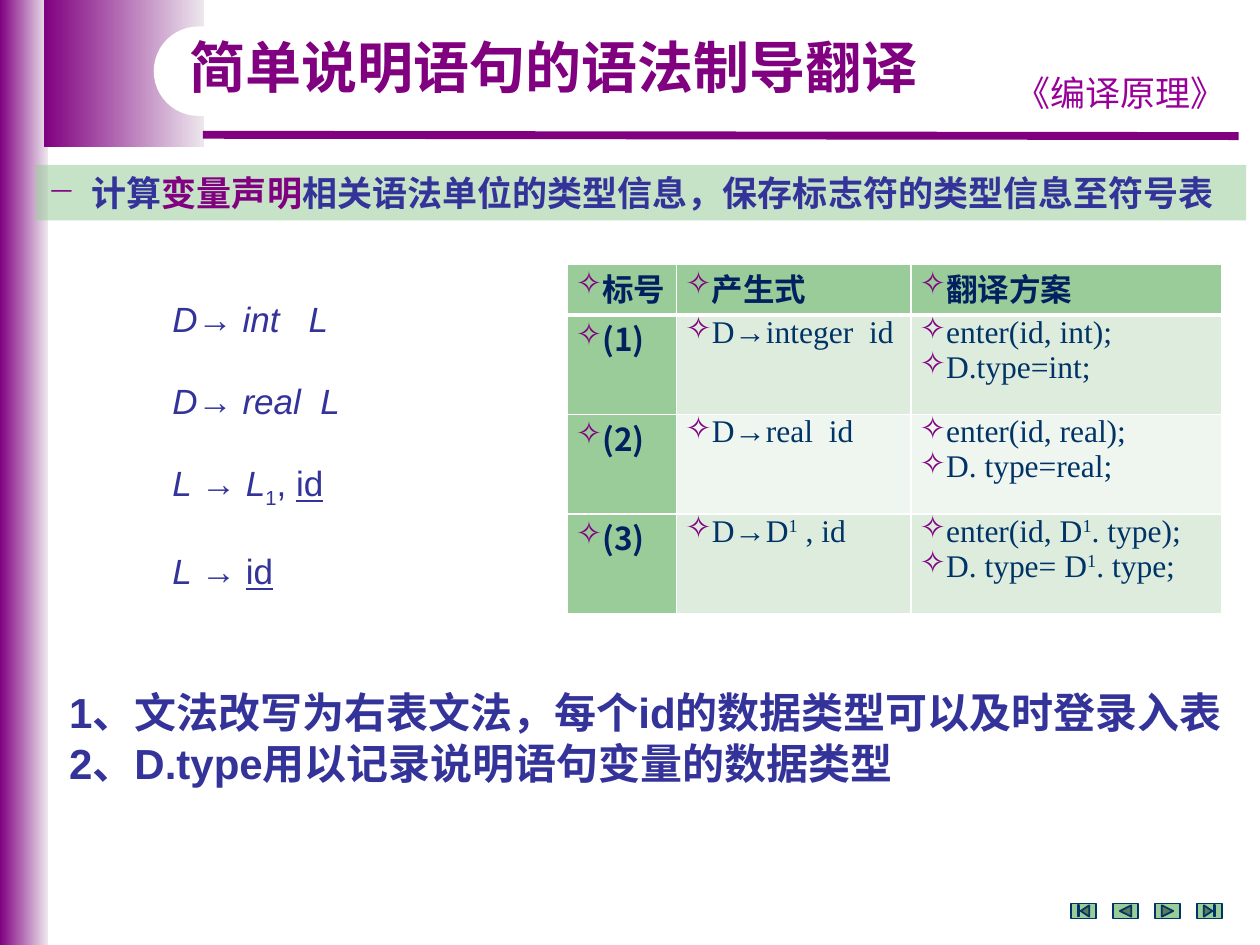
from lxml.etree import SubElement
from pptx import Presentation
from pptx.dml.color import RGBColor
from pptx.enum.shapes import MSO_CONNECTOR, MSO_SHAPE as Shape
from pptx.enum.text import MSO_ANCHOR as Anchor, PP_ALIGN as Align
from pptx.oxml import parse_xml
from pptx.oxml.ns import nsdecls, qn
from pptx.util import Inches, Pt

COLS, ROWS = 100, 75
PURPLE, BLUE, GREEN, NAVY, TEAL = "800080", "333399", "99CC99", "002060", "003366"
CJK, ARIAL, TIMES = "Noto Sans CJK SC", "Arial", "Times New Roman"


def rgb(value):
    return RGBColor.from_string(value)


class SlideBuilder:
    """Holds the style and the current slide, placing elements on a grid of columns and rows."""

    def __init__(self, prs):
        self.prs = prs
        self.slide = prs.slides.add_slide(prs.slide_layouts[5])
        self.shapes = self.slide.shapes

    def x(self, cols):
        return round(self.prs.slide_width * cols / COLS)

    def y(self, rows):
        return round(self.prs.slide_height * rows / ROWS)

    def box(self, left, top, width, height):
        return self.x(left), self.y(top), self.x(width), self.y(height)

    def shape(self, kind, at, fill=None, gradient=None, line=None, alpha=None):
        sp = self.shapes.add_shape(kind, *self.box(*at))
        sp.shadow.inherit = False
        if gradient:
            sp.fill.gradient()
            sp.fill.gradient_angle = 0
            for stop, color in zip(sp.fill.gradient_stops, gradient):
                stop.color.rgb = rgb(color)
        else:
            sp.fill.solid()
            sp.fill.fore_color.rgb = rgb(fill)
        if alpha:
            color = sp.fill._xPr.find(qn("a:solidFill"))[0]
            SubElement(color, qn("a:alpha"), val=str(alpha * 1000))
        if line:
            sp.line.color.rgb = rgb(line)
            sp.line.width = Pt(1)
        else:
            sp.line.fill.background()
        return sp

    def line(self, start, end, color, width):
        cx = self.shapes.add_connector(MSO_CONNECTOR.STRAIGHT, self.x(start[0]), self.y(start[1]),
                                       self.x(end[0]), self.y(end[1]))
        cx.line.color.rgb = rgb(color)
        cx.line.width = Pt(width)
        SubElement(cx._element.spPr, qn("a:effectLst"))

    def bullet(self, p, char, indent=0):
        pPr = p._p.get_or_add_pPr()
        pPr.set("marL", str(self.x(indent)))
        pPr.set("indent", str(-self.x(indent)))
        SubElement(SubElement(pPr, qn("a:buClr")), qn("a:srgbClr"), val=PURPLE)
        SubElement(pPr, qn("a:buChar"), char=char)

    def run(self, p, text, size, color, font=ARIAL, bold=False, style=""):
        r = p.add_run()
        r.text = text
        f = r.font
        f.size, f.name, f.bold = Pt(size), font, bold
        f.italic, f.underline = "i" in style, "u" in style
        f.color.rgb = rgb(color)
        east = TIMES if font == TIMES else CJK
        SubElement(f._element, qn("a:ea"), typeface=east)
        shift = {"^": "30000", "_": "-25000"}.get(style)
        if shift:
            f._element.set("baseline", shift)

    def fill_text(self, tf, paragraphs, size, color, font=ARIAL, bold=False, align=Align.LEFT,
                  gap=0, bullet=None):
        for i, runs in enumerate(paragraphs):
            p = tf.paragraphs[0] if i == 0 else tf.add_paragraph()
            if bullet:
                self.bullet(p, *bullet)
            p.alignment = align
            if gap and i:
                p.space_before = Pt(gap)
            for text, *style in runs:
                self.run(p, text, size, style[1] if len(style) > 1 else color,
                         font, bold, style[0] if style else "")

    def text(self, at, paragraphs, **style):
        tf = self.shapes.add_textbox(*self.box(*at)).text_frame
        tf.word_wrap = True
        self.fill_text(tf, paragraphs, **style)

    def title(self, at, text):
        sp = self.shapes.title
        sp.left, sp.top, sp.width, sp.height = self.box(*at)
        tf = sp.text_frame
        tf.margin_left = self.x(2)
        tf.vertical_anchor = Anchor.MIDDLE
        self.fill_text(tf, [[(text,)]], 32, PURPLE, CJK, True)
        tree = sp._element.getparent()
        tree.remove(sp._element)
        tree.append(sp._element)

    def table(self, at, widths, heights, rows):
        table = self.shapes.add_table(len(rows), len(widths), *self.box(*at)).table
        for col, width in zip(table.columns, widths):
            col.width = self.x(width)
        for row, height in zip(table.rows, heights):
            row.height = self.y(height)
        for i, row in enumerate(rows):
            for j, paragraphs in enumerate(row):
                self.cell(table.cell(i, j), paragraphs, i, j)

    def cell(self, cell, paragraphs, i, j):
        head = i == 0 or j == 0
        cell.margin_left = cell.margin_right = self.x(0.7)
        cell.margin_top = cell.margin_bottom = 0
        cell.vertical_anchor = Anchor.TOP
        cell.fill.solid()
        cell.fill.fore_color.rgb = rgb(GREEN if head else "DEECDE" if i % 2 else "EFF6EF")
        thick = {(0, "B"), (1, "T")}
        for k, side in enumerate("LRTB"):
            width = Pt(3 if (i, side) in thick else 1)
            cell._tc.tcPr.insert(k, parse_xml(
                f'<a:ln{side} {nsdecls("a")} w="{width}"><a:solidFill>'
                f'<a:srgbClr val="FFFFFF"/></a:solidFill></a:ln{side}>'))
        self.fill_text(cell.text_frame, paragraphs, 18, NAVY if head else TEAL,
                       CJK if head else TIMES, head, Align.JUSTIFY, bullet=("✧",))


def main():
    prs = Presentation()
    prs.slide_width, prs.slide_height = Inches(10), Inches(7.5)
    s = SlideBuilder(prs)

    fade = (PURPLE, "EDE7ED")
    s.shape(Shape.RECTANGLE, (0, 0, 3.8, ROWS), gradient=fade)
    s.shape(Shape.RECTANGLE, (3.5, 0, 12.7, 11.7), gradient=fade)
    s.line((16.1, 10.7), (98.3, 10.8), PURPLE, 4.5)
    s.text((79.1, 5.2, 19.7, 4.3), [[("《编译原理》",)]], size=20, color="990099",
           font="Comic Neue", align=Align.CENTER)
    s.shape(Shape.ROUNDED_RECTANGLE, (12.2, 2.1, 36.2, 7.1), "FFFFFF").adjustments[0] = 0.5

    bar = s.shape(Shape.RECTANGLE, (2.8, 13.1, 96.1, 4.4), GREEN, alpha=54)
    s.fill_text(bar.text_frame, [[("计算",), ("变量声明", "", PURPLE),
                                  ("相关语法单位的类型信息，保存标志符的类型信息至符号表",)]],
                20, BLUE, bold=True, bullet=("−", 3.5))

    buttons = (Shape.ACTION_BUTTON_BEGINNING, Shape.ACTION_BUTTON_BACK_OR_PREVIOUS,
               Shape.ACTION_BUTTON_FORWARD_OR_NEXT, Shape.ACTION_BUTTON_END)
    for i, kind in enumerate(buttons):
        s.shape(kind, (85 + i * 10 / 3, 71.7, 2, 1.2), GREEN, line=TEAL)

    s.title((13, 2.1, 68.5, 6.3), "简单说明语句的语法制导翻译")

    s.table((45, 21, 52, 27.7), (8.7, 18.6, 24.7), (4, 7.9, 7.9, 7.9), [
        [[[("标号",)]], [[("产生式",)]], [[("翻译方案",)]]],
        [[[("(1)",)]], [[("D→integer  id",)]], [[("enter(id, int);",)], [("D.type=int;",)]]],
        [[[("(2)",)]], [[("D→real  id",)]], [[("enter(id, real);",)], [("D. type=real;",)]]],
        [[[("(3)",)]], [[("D→D",), ("1", "^"), (" , id",)]],
         [[("enter(id, D",), ("1", "^"), (". type);",)],
          [("D. type= D",), ("1", "^"), (". type;",)]]],
    ])

    arrow, ident = ("→ ",), ("id", "u")
    s.text((12.7, 23.1, 27, 23.4), [
        [("D", "i"), arrow, ("int   L", "i")],
        [("D", "i"), arrow, ("real  L", "i")],
        [("L ", "i"), arrow, ("L", "i"), ("1", "_"), (", ",), ident],
        [("L ", "i"), arrow, ident],
    ], size=20, color=BLUE, gap=23)

    s.text((4.5, 54, 94.3, 9.1), [
        [("1、文法改写为右表文法，每个id的数据类型可以及时登录入表",)],
        [("2、D.type用以记录说明语句变量的数据类型",)],
    ], size=24, color=BLUE, bold=True)

    prs.save("out.pptx")


if __name__ == "__main__":
    main()
